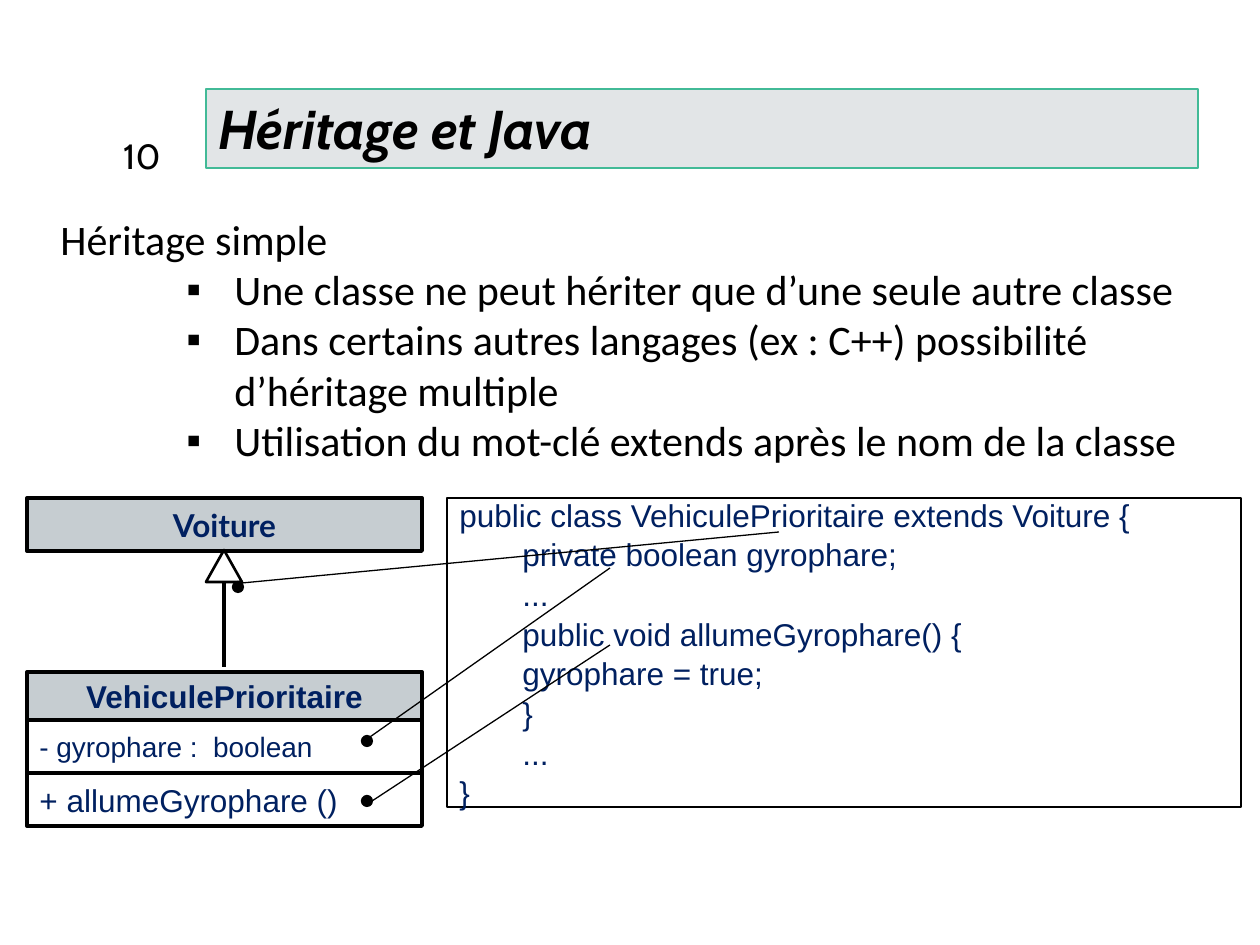
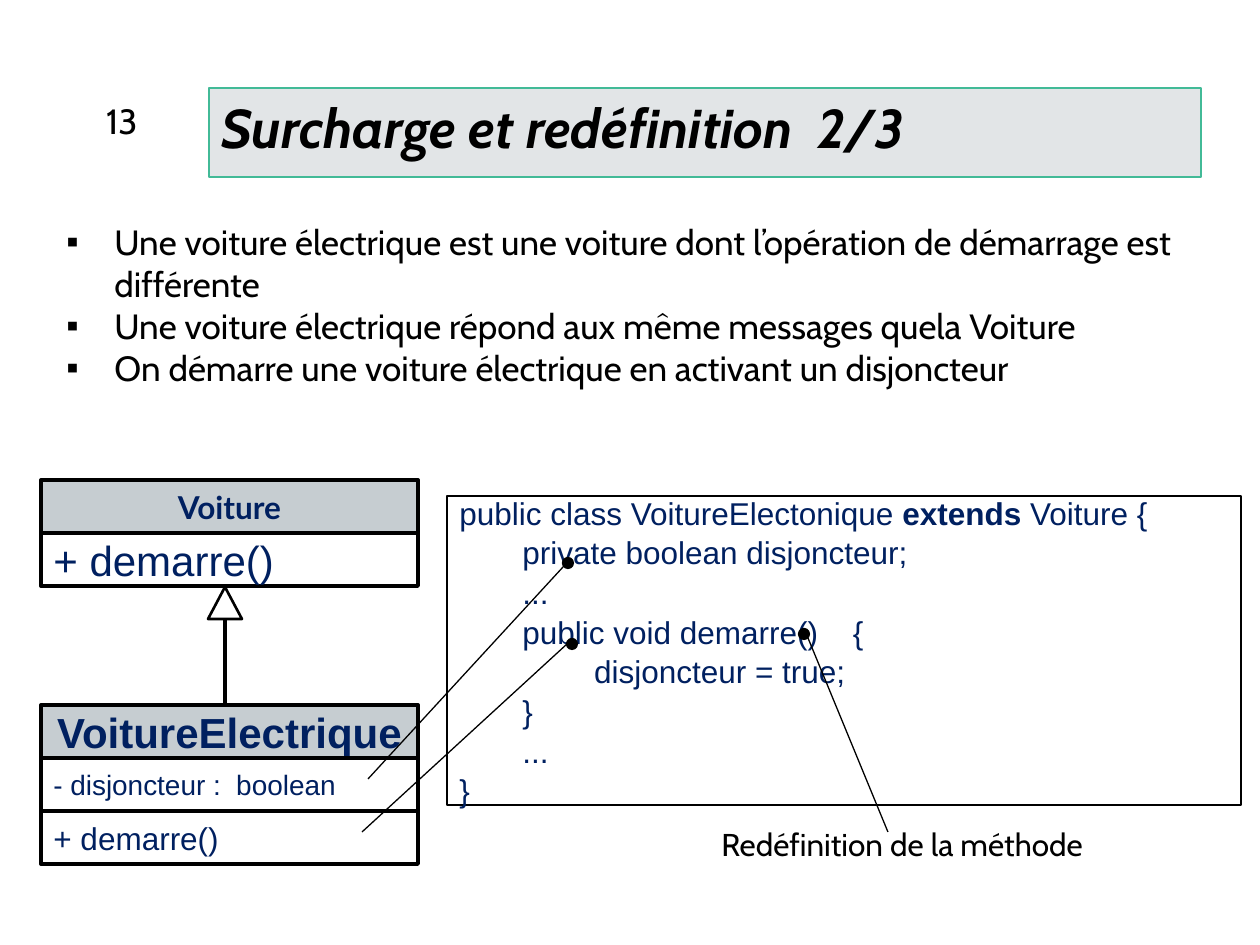
"""Builds two slides on inheritance and method overriding in Java."""
from lxml import etree
from pptx import Presentation
from pptx.dml.color import RGBColor
from pptx.enum.shapes import MSO_CONNECTOR, MSO_SHAPE
from pptx.enum.text import MSO_ANCHOR, PP_ALIGN
from pptx.oxml.ns import qn
from pptx.util import Pt

RECTANGLE = MSO_SHAPE.RECTANGLE
TRIANGLE = MSO_SHAPE.ISOSCELES_TRIANGLE
OVAL = MSO_SHAPE.OVAL
STRAIGHT = MSO_CONNECTOR.STRAIGHT
TOP, MIDDLE = MSO_ANCHOR.TOP, MSO_ANCHOR.MIDDLE
LEFT, CENTER, RIGHT = PP_ALIGN.LEFT, PP_ALIGN.CENTER, PP_ALIGN.RIGHT

BLACK = RGBColor(0, 0, 0)
WHITE = RGBColor(255, 255, 255)
NAVY = RGBColor(0x00, 0x20, 0x60)
GREEN = RGBColor(0x42, 0xBA, 0x97)
BAND_GRAY = RGBColor(0xA1, 0xAC, 0xB2)
HEADER_GRAY = RGBColor(0xC6, 0xCD, 0xD1)

EMU_PER_PIXEL = 914400 / 126
ROW_HEIGHT = 53
TRIANGLE_HEIGHT = 32
DOT_SIZE = 10
HANGING = 48
TAB_WIDTH = 63


def px(pixels):
    """Turn pixels into EMU."""
    return round(pixels * EMU_PER_PIXEL)


def add_outlined(slide, kind, box, fill, line, weight):
    """Add a filled and outlined preset shape without shadow."""
    shape = slide.shapes.add_shape(kind, *map(px, box))
    shape.shadow.inherit = False
    shape.fill.solid()
    shape.fill.fore_color.rgb = fill
    shape.line.color.rgb = line
    shape.line.width = Pt(weight)
    return shape


def add_text_area(slide, box):
    """Add a wrapping text box and return its frame."""
    frame = slide.shapes.add_textbox(*map(px, box)).text_frame
    frame.word_wrap = True
    return frame


def style_font(paragraph, family, size, color, bold=False, italic=False):
    """Set the font of a whole paragraph."""
    font = paragraph.font
    font.name, font.size = family, Pt(size)
    font.bold, font.italic = bold, italic
    font.color.rgb = color


def write_line(frame, text, family, size, color, align=LEFT, anchor=MIDDLE, **emphasis):
    """Fill a frame with one line of text."""
    frame.vertical_anchor = anchor
    paragraph = frame.paragraphs[0]
    paragraph.add_run().text = text
    paragraph.alignment = align
    style_font(paragraph, family, size, color, **emphasis)


def next_paragraph(frame, index):
    """Return the first paragraph, or a new one after it."""
    return frame.add_paragraph() if index else frame.paragraphs[0]


def add_bullet(paragraph, margin):
    """Give a paragraph a square bullet and a hanging indent."""
    properties = paragraph._p.get_or_add_pPr()
    properties.set("marL", str(px(margin)))
    properties.set("indent", str(-px(HANGING)))
    etree.SubElement(properties, qn("a:buFont"), typeface="Arial")
    etree.SubElement(properties, qn("a:buChar"), char="▪")


def add_title(slide, box, text):
    """Add the translucent title band."""
    band = add_outlined(slide, RECTANGLE, box, BAND_GRAY, GREEN, 1.25)
    tint = band.fill._xPr.find(".//" + qn("a:srgbClr"))
    etree.SubElement(tint, qn("a:alpha"), val="30000")
    write_line(band.text_frame, text, "Cabin", 31.2, BLACK, anchor=TOP,
               bold=True, italic=True)


def add_page_number(slide, left, top, number):
    """Add the page number beside the title."""
    write_line(add_text_area(slide, (left, top, 81, 50)), number, "Cabin", 20, BLACK,
               align=RIGHT)


def add_points(slide, box, points, family, size, margin, heading=None):
    """Add bulleted points, under a plain heading if there is one."""
    frame = add_text_area(slide, box)
    lines = ([heading] if heading else []) + points
    for index, text in enumerate(lines):
        paragraph = next_paragraph(frame, index)
        paragraph.add_run().text = text
        if text != heading:
            add_bullet(paragraph, margin)
        style_font(paragraph, family, size, BLACK)


def add_class(slide, left, top, width, name, members=(), family="Arial", size=18,
              header_height=ROW_HEIGHT):
    """Add a UML class: a header row and one row per member."""
    header = add_outlined(slide, RECTANGLE, (left, top, width, header_height),
                          HEADER_GRAY, BLACK, 2.25)
    write_line(header.text_frame, name, family, size, NAVY, align=CENTER, bold=True)
    for index, (member, member_size) in enumerate(members):
        row_top = top + header_height + index * ROW_HEIGHT
        row = add_outlined(slide, RECTANGLE, (left, row_top, width, ROW_HEIGHT),
                           WHITE, BLACK, 2.25)
        write_line(row.text_frame, member, "Arial", member_size, NAVY)


def add_line(slide, start, end, weight):
    """Add a straight black line without shadow."""
    line = slide.shapes.add_connector(STRAIGHT, *map(px, start + end))
    line.line.color.rgb = BLACK
    line.line.width = Pt(weight)
    etree.SubElement(line._element.spPr, qn("a:effectLst"))


def add_inheritance(slide, center, tip, width, bottom):
    """Add a UML inheritance arrow that points up."""
    base = tip + TRIANGLE_HEIGHT
    add_line(slide, (center, base), (center, bottom), 2.25)
    add_outlined(slide, TRIANGLE, (center - width / 2, tip, width, TRIANGLE_HEIGHT),
                 WHITE, BLACK, 1.5)


def add_code(slide, top, lines, keyword=None):
    """Add the code panel, with an optional keyword in bold."""
    panel = add_outlined(slide, RECTANGLE, (447, top, 794, 309), WHITE, BLACK, 1.5)
    frame = panel.text_frame
    frame.vertical_anchor = MIDDLE
    for index, text in enumerate(lines):
        paragraph = next_paragraph(frame, index)
        paragraph.alignment = LEFT
        paragraph.line_spacing = 1.05
        parts = text.partition(keyword) if keyword else (text,)
        for part in filter(None, parts):
            run = paragraph.add_run()
            run.text = part
            if part == keyword:
                run.font.bold = True
        tabs = etree.SubElement(paragraph._p.get_or_add_pPr(), qn("a:tabLst"))
        for stop in (1, 2):
            etree.SubElement(tabs, qn("a:tab"), pos=str(px(stop * TAB_WIDTH)), algn="l")
        style_font(paragraph, "Arial", 18, NAVY)


def add_links(slide, links):
    """Tie diagram parts to code: each link is a dot centre and two line ends."""
    for (x, y), start, end in links:
        add_outlined(slide, OVAL, (x - DOT_SIZE / 2, y - DOT_SIZE / 2, DOT_SIZE, DOT_SIZE),
                     BLACK, BLACK, 1.25)
        add_line(slide, start, end, 0.75)


def build_inheritance(slide):
    """Build the slide on simple inheritance."""
    add_points(slide, (48, 207, 1172, 267), [
        "Une classe ne peut hériter que d’une seule autre classe",
        "Dans certains autres langages (ex : C++) possibilité d’héritage multiple",
        "Utilisation du mot-clé extends après le nom de la classe",
    ], "Calibri", 24, 174, heading="Héritage simple")
    add_title(slide, (206, 89, 992, 79), "Héritage et Java")
    add_class(slide, 27, 498, 395, "Voiture", family="Lato")
    add_class(slide, 27, 672, 395, "VehiculePrioritaire",
              [("- gyrophare :  boolean", 16), ("+ allumeGyrophare ()", 18)],
              header_height=48)
    add_inheritance(slide, 224, 550, 36, 667)
    add_code(slide, 498, [
        "public class VehiculePrioritaire extends Voiture {",
        "\tprivate boolean gyrophare;",
        "\t...",
        "\tpublic void allumeGyrophare() {",
        "\tgyrophare = true;",
        "\t}",
        "\t...",
        "}",
    ])
    add_links(slide, [
        ((238, 587), (779, 532), (242, 583)),
        ((367, 801), (610, 645), (372, 801)),
        ((367, 741), (610, 568), (370, 737)),
    ])
    add_page_number(slide, 92, 130, "10")


def build_overriding(slide):
    """Build the slide on overloading and overriding."""
    add_title(slide, (209, 88, 992, 89), "Surcharge et redéfinition  2/3")
    add_points(slide, (54, 214, 1160, 224), [
        "Une voiture électrique est une voiture dont l’opération de démarrage est différente",
        "Une voiture électrique répond aux même messages quela Voiture",
        "On démarre une voiture électrique en activant un disjoncteur",
    ], "Cabin", 20, HANGING)
    add_class(slide, 41, 480, 377, "Voiture", [("+ demarre()", 24)], family="Lato")
    add_class(slide, 41, 705, 377, "VoitureElectrique",
              [("- disjoncteur :  boolean", 16), ("+ demarre()", 18)], size=24)
    add_inheritance(slide, 225, 587, 34, 704)
    add_code(slide, 496, [
        "public class VoitureElectonique extends Voiture {",
        "\tprivate boolean disjoncteur;",
        "\t...",
        "\tpublic void demarre()    {",
        "\t\t disjoncteur = true;",
        "\t}",
        "\t...",
        "}",
    ], keyword="extends ")
    add_links(slide, [
        ((804, 634), (888, 832), (808, 638)),
        ((572, 644), (362, 832), (567, 644)),
        ((568, 563), (564, 566), (368, 779)),
    ])
    write_line(add_text_area(slide, (709, 819, 466, 50)), "Redéfinition de la méthode",
               "Cabin", 18, BLACK, anchor=TOP)
    add_page_number(slide, 69, 96, "13")


def main():
    """Build and save the presentation."""
    presentation = Presentation()
    presentation.slide_width, presentation.slide_height = px(1260), px(945)
    blank = presentation.slide_layouts[6]
    for build in (build_inheritance, build_overriding):
        build(presentation.slides.add_slide(blank))
    presentation.save("out.pptx")


main()
